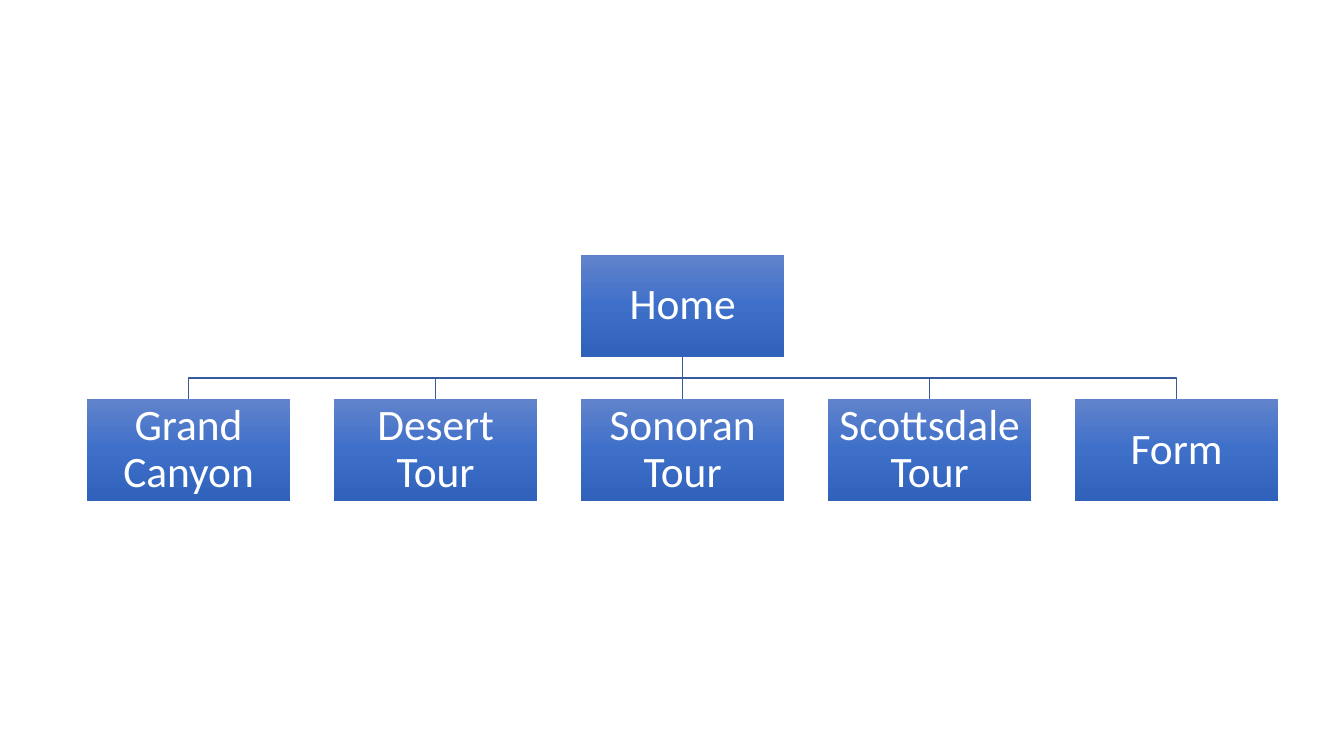
from copy import deepcopy

from lxml.etree import SubElement
from pptx import Presentation
from pptx.dml.color import RGBColor
from pptx.enum.shapes import MSO_CONNECTOR, MSO_SHAPE
from pptx.enum.text import MSO_ANCHOR, PP_ALIGN
from pptx.oxml.ns import qn
from pptx.util import Inches, Pt

BOX_W, BOX_H = 2.02, 1.01
LEFT, STEP = 0.86, 2.45
HOME_TOP, PAGE_TOP = 2.53, 3.96
PAGES = ["Grand Canyon", "Desert Tour", "Sonoran Tour", "Scottsdale Tour", "Form"]


def rgb(value):
    return RGBColor.from_string(value)


def write(tf, text, size=31, font="Calibri", color="FFFFFF",
          align=PP_ALIGN.CENTER, spacing=0.9):
    p = tf.paragraphs[0]
    p.alignment = align
    p.line_spacing = spacing
    r = p.add_run()
    r.text = text
    r.font.size = Pt(size)
    r.font.name = font
    r.font.color.rgb = rgb(color)


class SiteMap:
    line_color = "365B9D"
    gradient = [(0, "6183CB"), (0.5, "3E70CA"), (1, "3062BB")]

    def __init__(self, s):
        self.s = s

    def style_line(self, line):
        line.color.rgb = rgb(self.line_color)
        line.width = Pt(1)

    def straight(self, x, y1, y2):
        c = self.s.shapes.add_connector(
            MSO_CONNECTOR.STRAIGHT, Inches(x), Inches(y1), Inches(x), Inches(y2))
        self.style_line(c.line)
        SubElement(c._element.spPr, qn("a:effectLst"))

    def elbow(self, x1, y1, x2, y2):
        mid = (y1 + y2) / 2
        points = [(Inches(x), Inches(y)) for x, y in [(x1, mid), (x2, mid), (x2, y2)]]
        builder = self.s.shapes.build_freeform(Inches(x1), Inches(y1))
        builder.add_line_segments(points, close=False)
        sp = builder.convert_to_shape()
        sp.shadow.inherit = False
        sp.fill.background()
        self.style_line(sp.line)

    def box(self, text, x, y):
        sp = self.s.shapes.add_shape(
            MSO_SHAPE.RECTANGLE, Inches(x), Inches(y), Inches(BOX_W), Inches(BOX_H))
        sp.shadow.inherit = False
        sp.line.fill.background()
        # Three-stop gradient, top to bottom
        sp.fill.gradient()
        sp.fill.gradient_angle = 270
        stops = sp._element.spPr.find(".//" + qn("a:gsLst"))
        stops.append(deepcopy(stops[0]))
        for stop, (position, color) in zip(sp.fill.gradient_stops, self.gradient):
            stop.position = position
            stop.color.rgb = rgb(color)
        # Label
        tf = sp.text_frame
        tf.word_wrap = True
        tf.vertical_anchor = MSO_ANCHOR.MIDDLE
        tf.margin_left = tf.margin_right = Inches(0.02)
        tf.margin_top = tf.margin_bottom = Inches(0.02)
        write(tf, text)


def main():
    prs = Presentation()
    prs.slide_width, prs.slide_height = Inches(13.33), Inches(7.5)
    site = SiteMap(prs.slides.add_slide(prs.slide_layouts[6]))

    lefts = [LEFT + i * STEP for i in range(len(PAGES))]
    middle = len(PAGES) // 2
    home_x = lefts[middle]

    # Lines from Home to each page
    start_x, start_y = home_x + BOX_W / 2, HOME_TOP + BOX_H
    for i, x in enumerate(lefts):
        if i == middle:
            site.straight(start_x, start_y, PAGE_TOP)
        else:
            site.elbow(start_x, start_y, x + BOX_W / 2, PAGE_TOP)

    # Boxes
    site.box("Home", home_x, HOME_TOP)
    for page, x in zip(PAGES, lefts):
        site.box(page, x, PAGE_TOP)

    prs.save("out.pptx")


if __name__ == "__main__":
    main()
